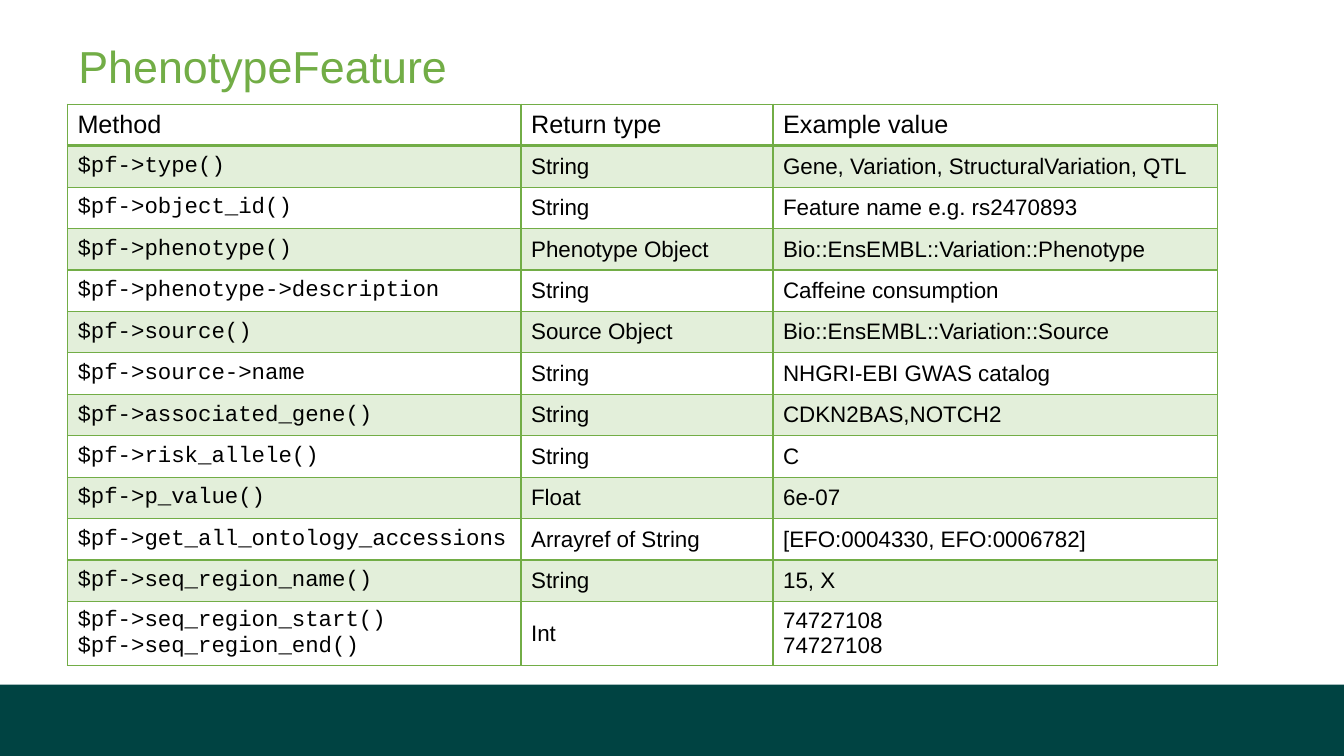
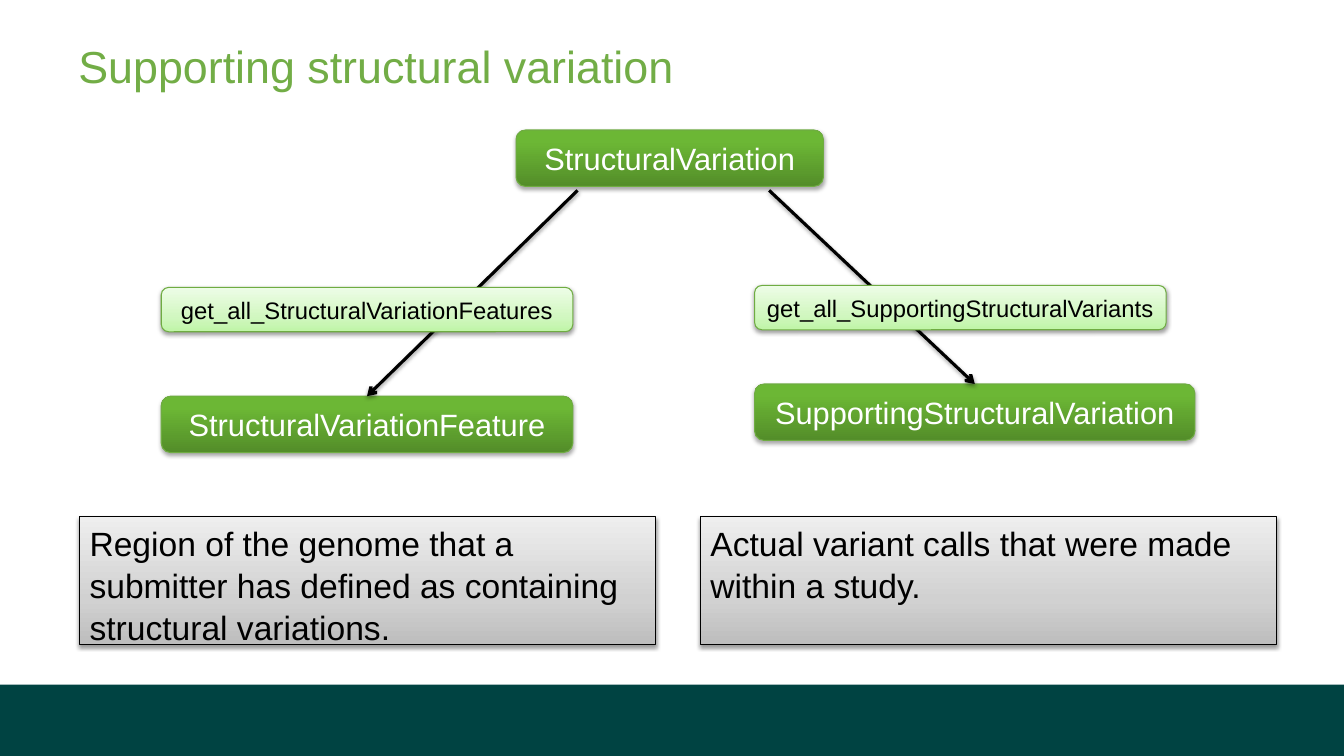
from lxml import etree
from pptx import Presentation
from pptx.dml.color import RGBColor
from pptx.enum.shapes import MSO_CONNECTOR, MSO_SHAPE
from pptx.enum.text import MSO_ANCHOR, PP_ALIGN
from pptx.oxml.ns import qn
from pptx.util import Pt

RECTANGLE = MSO_SHAPE.RECTANGLE
ROUNDED = MSO_SHAPE.ROUNDED_RECTANGLE
STRAIGHT = MSO_CONNECTOR.STRAIGHT
LEFT, CENTER = PP_ALIGN.LEFT, PP_ALIGN.CENTER
TOP, MIDDLE = MSO_ANCHOR.TOP, MSO_ANCHOR.MIDDLE
TOP_SIDE = 0

SLIDE_WIDTH, SLIDE_HEIGHT, BAND_HEIGHT = 960, 540, 51
BLACK, WHITE = "000000", "FFFFFF"
GREEN, PALE_GREEN, EDGE_GREEN, TEAL = "72AD46", "E3EFDA", "6FAC42", "004342"

# Gradient stops run from the bottom edge to the top edge.
CLASS_GRADIENT = [(0, "538D29"), (80, "6CB735"), (100, "6CBA33")]
METHOD_GRADIENT = [(0, "BFF5A7"), (35, "D2F7C1"), (100, "EDFDE7")]
NOTE_GRADIENT = [(0, "BDBDBD"), (35, "D1D1D1"), (100, "EEEEEE")]

HEADINGS = ["Method", "Return type", "Example value"]
METHODS = [
    ("$pf->type()", "String", "Gene, Variation, StructuralVariation, QTL"),
    ("$pf->object_id()", "String", "Feature name e.g. rs2470893"),
    ("$pf->phenotype()", "Phenotype Object", "Bio::EnsEMBL::Variation::Phenotype"),
    ("$pf->phenotype->description", "String", "Caffeine consumption"),
    ("$pf->source()", "Source Object", "Bio::EnsEMBL::Variation::Source"),
    ("$pf->source->name", "String", "NHGRI-EBI GWAS catalog"),
    ("$pf->associated_gene()", "String", "CDKN2BAS,NOTCH2"),
    ("$pf->risk_allele()", "String", "C"),
    ("$pf->p_value()", "Float", "6e-07"),
    ("$pf->get_all_ontology_accessions", "Arrayref of String",
     "[EFO:0004330, EFO:0006782]"),
    ("$pf->seq_region_name()", "String", "15, X"),
    ("$pf->seq_region_start()\n$pf->seq_region_end()", "Int",
     "74727108\n74727108"),
]


def rgb(color):
    return RGBColor.from_string(color)


def add_element(parent, tag, **attributes):
    values = {name: str(value) for name, value in attributes.items()}
    return etree.SubElement(parent, qn(tag), values)


def add_color(parent, color):
    return add_element(parent, "a:srgbClr", val=color)


def write(frame, text, size=16, color=BLACK, font="Arial", align=LEFT,
          line_spacing=None):
    """Fill a text frame, one paragraph for each line of text."""
    for index, line in enumerate(text.split("\n")):
        paragraph = frame.add_paragraph() if index else frame.paragraphs[0]
        paragraph.alignment = align
        paragraph.line_spacing = line_spacing
        run = paragraph.add_run()
        run.text = line
        run.font.name = font
        run.font.size = Pt(size)
        run.font.color.rgb = rgb(color)


def add_shadow(shape, opacity, distance):
    properties = shape._element.spPr
    effects = properties.find(qn("a:effectLst"))
    if effects is None:
        effects = add_element(properties, "a:effectLst")
    outer = add_element(effects, "a:outerShdw", blurRad=Pt(3.1),
                        dist=Pt(distance), dir=5400000, rotWithShape=0)
    add_element(add_color(outer, BLACK), "a:alpha", val=opacity * 1000)


def set_gradient(shape, stops):
    shape.fill.gradient()
    shape.fill.gradient_angle = 90
    stop_list = shape._element.spPr.find(".//" + qn("a:gsLst"))
    for old_stop in list(stop_list):
        stop_list.remove(old_stop)
    for position, color in stops:
        add_color(add_element(stop_list, "a:gs", pos=position * 1000), color)


def set_borders(cell, bottom_width):
    properties = cell._tc.get_or_add_tcPr()
    for side in "LRTB":
        width = bottom_width if side == "B" else 1
        line = add_element(properties, "a:ln" + side, w=Pt(width))
        add_color(add_element(line, "a:solidFill"), GREEN)


class Deck:
    def __init__(self):
        self.presentation = Presentation()
        self.presentation.slide_width = Pt(SLIDE_WIDTH)
        self.presentation.slide_height = Pt(SLIDE_HEIGHT)
        self.slide = None

    def new_slide(self, title):
        """Start a slide with the bottom band and its title."""
        layout = self.presentation.slide_layouts[6]
        self.slide = self.presentation.slides.add_slide(layout)
        band = self.shape(RECTANGLE, 0, SLIDE_HEIGHT - BAND_HEIGHT,
                          SLIDE_WIDTH, BAND_HEIGHT)
        band.fill.solid()
        band.fill.fore_color.rgb = rgb(TEAL)
        band.line.fill.background()
        box = self.slide.shapes.add_textbox(Pt(56), Pt(24), Pt(856), Pt(60))
        frame = box.text_frame
        frame.word_wrap = True
        frame.margin_left = frame.margin_right = frame.margin_bottom = 0
        frame.margin_top = Pt(3.5)
        write(frame, title, size=32, color=GREEN)

    def shape(self, kind, left, top, width, height):
        shape = self.slide.shapes.add_shape(kind, Pt(left), Pt(top),
                                            Pt(width), Pt(height))
        shape.shadow.inherit = False
        return shape

    def box(self, text, left, top, width, height, stops, kind=ROUNDED,
            edge=EDGE_GREEN, anchor=MIDDLE, shadow=(38, 1.6), **text_format):
        """Add a gradient box with a shadow and text."""
        box = self.shape(kind, left, top, width, height)
        set_gradient(box, stops)
        box.line.color.rgb = rgb(edge)
        box.line.width = Pt(0.75)
        add_shadow(box, *shadow)
        box.text_frame.word_wrap = True
        box.text_frame.vertical_anchor = anchor
        write(box.text_frame, text, **text_format)
        return box

    def class_box(self, text, left, top, width):
        return self.box(text, left, top, width, 40.3, CLASS_GRADIENT,
                        shadow=(35, 1.8), size=22, color=WHITE, align=CENTER)

    def method_box(self, text, left, top):
        self.box(text, left, top, 294, 31.7, METHOD_GRADIENT,
                 size=17, align=CENTER)

    def note_box(self, text, left):
        self.box(text, left, 368.7, 411.3, 92, NOTE_GRADIENT, kind=RECTANGLE,
                 edge=BLACK, anchor=TOP, size=24, line_spacing=1.04)

    def arrow(self, left, top, target):
        """Draw an arrow from a point to the top of the target box."""
        arrow = self.slide.shapes.add_connector(
            STRAIGHT, Pt(left), Pt(top), target.left, target.top)
        arrow.end_connect(target, TOP_SIDE)
        arrow.line.color.rgb = rgb(BLACK)
        arrow.line.width = Pt(2.25)
        add_element(arrow.line._get_or_add_ln(), "a:tailEnd", type="arrow")
        add_shadow(arrow, 38, 1.6)

    def table(self, left, top, column_widths, row_heights, rows):
        """Add a bordered table with a heading row and tinted odd rows."""
        table = self.slide.shapes.add_table(
            len(rows), len(column_widths), Pt(left), Pt(top),
            Pt(sum(column_widths)), Pt(sum(row_heights))).table
        table.horz_banding = False
        table.first_row = False
        for column, width in zip(table.columns, column_widths):
            column.width = Pt(width)
        for row_index, values in enumerate(rows):
            table.rows[row_index].height = Pt(row_heights[row_index])
            heading = row_index == 0
            for column_index, value in enumerate(values):
                cell = table.cell(row_index, column_index)
                is_code = column_index == 0 and not heading
                set_borders(cell, 2 if heading else 1)
                cell.fill.solid()
                cell.fill.fore_color.rgb = rgb(
                    PALE_GREEN if row_index % 2 else WHITE)
                cell.vertical_anchor = MIDDLE
                write(cell.text_frame, value, size=18 if heading else 16,
                      font="Courier New" if is_code else "Arial")


def add_methods_slide(deck):
    deck.new_slide("PhenotypeFeature")
    deck.table(48.2, 74.5, [324, 180, 317.5],
               [29.6] * len(METHODS) + [43.6], [HEADINGS] + METHODS)


def add_variation_slide(deck):
    deck.new_slide("Supporting structural variation")
    left_branch, right_branch = 115.2, 539
    deck.class_box("StructuralVariation", 368.6, 92.9, 219.6)
    feature = deck.class_box("StructuralVariationFeature",
                             left_branch, 283, 294)
    supporting = deck.class_box("SupportingStructuralVariation",
                                right_branch, 274.3, 314.6)
    deck.arrow(412.6, 136, feature)
    deck.arrow(549.4, 136, supporting)
    deck.method_box("get_all_StructuralVariationFeatures",
                    left_branch, 205.3)
    deck.method_box("get_all_SupportingStructuralVariants",
                    right_branch, 203.9)
    deck.note_box("Region of the genome that a submitter has defined as "
                  "containing structural variations.", 56.9)
    deck.note_box("Actual variant calls that were made within a study.", 500.4)


def main():
    deck = Deck()
    add_methods_slide(deck)
    add_variation_slide(deck)
    deck.presentation.save("out.pptx")


if __name__ == "__main__":
    main()
